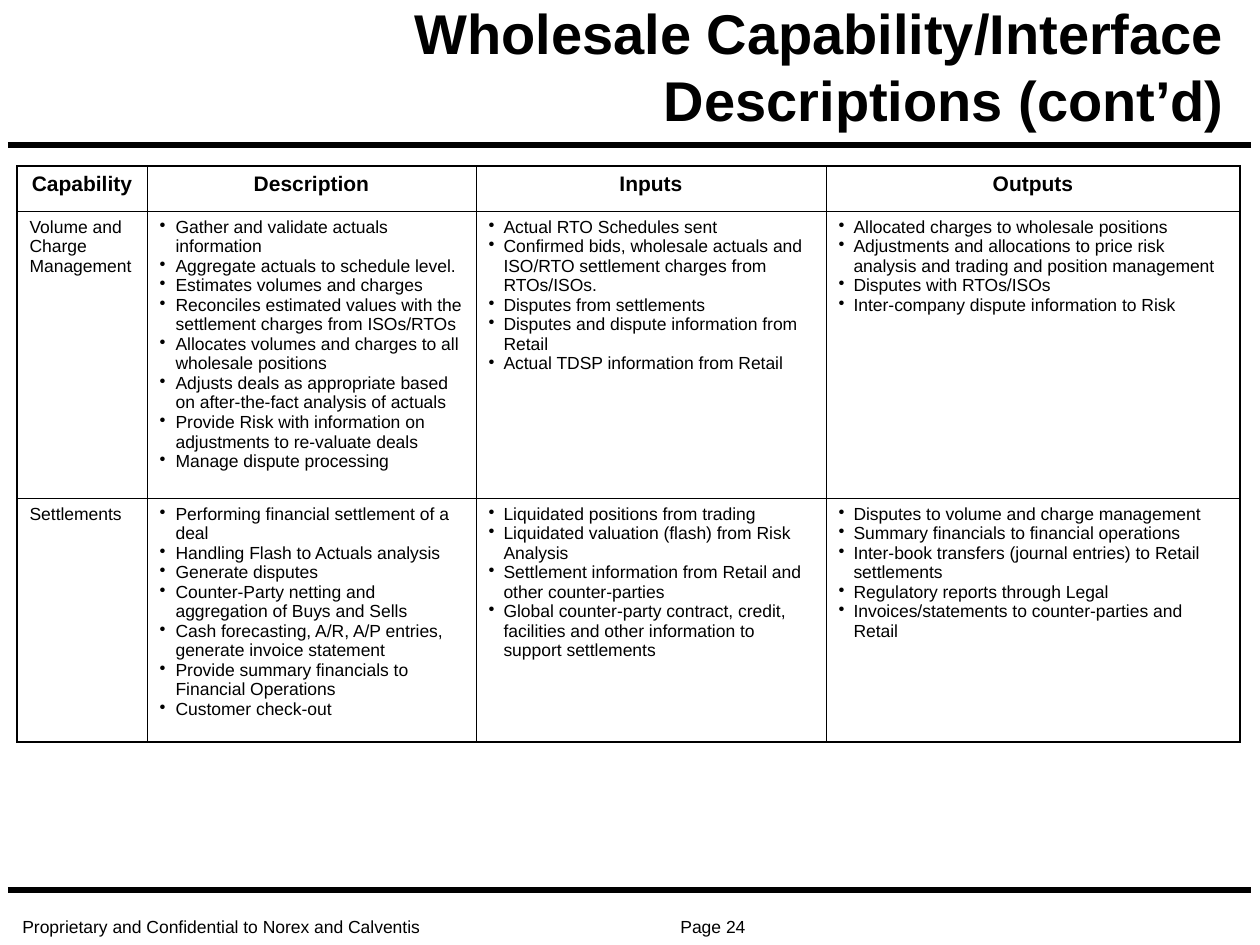
"""Build the wholesale capability and interface descriptions slide."""
import lxml.etree
import pptx
import pptx.dml.color
import pptx.enum.shapes
import pptx.enum.text
import pptx.oxml.ns
import pptx.util

BLACK = pptx.dml.color.RGBColor(0, 0, 0)
WHITE = pptx.dml.color.RGBColor(255, 255, 255)
EMU_PER_PX = 914400 / 126
ALIGN = pptx.enum.text.PP_ALIGN
BOTTOM = pptx.enum.text.MSO_ANCHOR.BOTTOM

HEADINGS = ["Capability", "Description", "Inputs", "Outputs"]
COLUMN_WIDTHS = [130, 329, 350, 414]
ROW_HEIGHTS = [45, 287, 244]
BULLET_INDENTS = [0, 16, 15, 15]
CAPABILITIES = [
    (
        ["Volume and Charge Management"],
        [
            "Gather and validate actuals information",
            "Aggregate actuals to schedule level.",
            "Estimates volumes and charges",
            "Reconciles estimated values with the settlement charges from ISOs/RTOs",
            "Allocates volumes and charges to all wholesale positions",
            "Adjusts deals as appropriate based on after-the-fact analysis of actuals",
            "Provide Risk with information on adjustments to re-valuate deals",
            "Manage dispute processing",
        ],
        [
            "Actual RTO Schedules sent",
            "Confirmed bids, wholesale actuals and ISO/RTO settlement charges from RTOs/ISOs.",
            "Disputes from settlements",
            "Disputes and dispute information from Retail",
            "Actual TDSP information from Retail",
        ],
        [
            "Allocated charges to wholesale positions",
            "Adjustments and allocations to price risk analysis and trading and position management",
            "Disputes with RTOs/ISOs",
            "Inter-company dispute information to Risk",
        ],
    ),
    (
        ["Settlements"],
        [
            "Performing financial settlement of a deal",
            "Handling Flash to Actuals analysis",
            "Generate disputes",
            "Counter-Party netting and aggregation of Buys and Sells",
            "Cash forecasting, A/R, A/P entries, generate invoice statement",
            "Provide summary financials to Financial Operations",
            "Customer check-out",
        ],
        [
            "Liquidated positions from trading",
            "Liquidated valuation (flash) from Risk Analysis",
            "Settlement information from Retail and other counter-parties",
            "Global counter-party contract, credit, facilities and other information to support settlements",
        ],
        [
            "Disputes to volume and charge management",
            "Summary financials to financial operations",
            "Inter-book transfers (journal entries) to Retail settlements",
            "Regulatory reports through Legal",
            "Invoices/statements to counter-parties and Retail",
        ],
    ),
]


def px(length):
    """Convert pixels to EMU."""
    return pptx.util.Emu(round(length * EMU_PER_PX))


def add_element(parent, tag, **attributes):
    """Append a DrawingML element to a parent."""
    element = lxml.etree.SubElement(parent, pptx.oxml.ns.qn(tag))
    for key, value in attributes.items():
        element.set(key, str(value))
    return element


def add_color(parent, color):
    """Append an RGB colour to a parent."""
    add_element(parent, "a:srgbClr", val=color)


class SlideBuilder:
    """Hold the text style and the slide being built."""

    font_name = "Arial"
    thin, thick = pptx.util.Pt(0.45), pptx.util.Pt(1.08)

    def __init__(self, slide):
        """Start on a slide."""
        self.slide = slide

    def fill_text(self, frame, lines, size, bold=False, indent=0, tab=0, **layout):
        """Set paragraphs with an optional bullet indent or right tab."""
        frame.word_wrap = True
        frame.text = "\n".join(lines)
        font_values = {"name": self.font_name, "size": pptx.util.Pt(size), "bold": bold}
        for paragraph in frame.paragraphs:
            properties = paragraph._p.get_or_add_pPr()
            if indent:
                properties.set("marL", str(px(indent)))
                properties.set("indent", str(-px(indent)))
                add_color(add_element(properties, "a:buClr"), BLACK)
                add_element(properties, "a:buChar", char="•")
            if tab:
                tabs = add_element(properties, "a:tabLst")
                add_element(tabs, "a:tab", pos=px(tab), algn="r")
            for name, value in layout.items():
                setattr(paragraph, name, value)
            for run in paragraph.runs:
                for name, value in font_values.items():
                    setattr(run.font, name, value)
                run.font.color.rgb = BLACK

    def text(self, left, top, width, height, line, **style):
        """Add a bottom-anchored text box."""
        box = self.slide.shapes.add_textbox(*map(px, (left, top, width, height)))
        box.text_frame.vertical_anchor = BOTTOM
        self.fill_text(box.text_frame, [line], **style)

    def rule(self, left, right, y):
        """Add a horizontal rule."""
        straight = pptx.enum.shapes.MSO_CONNECTOR.STRAIGHT
        rule = self.slide.shapes.add_connector(straight, *map(px, (left, y, right, y)))
        rule.line.color.rgb = BLACK
        rule.line.width = pptx.util.Pt(3)
        add_element(rule._element.spPr, "a:effectLst")

    def border(self, cell, outer_edges):
        """Draw the four cell borders, thicker on the outer edges, and fill the cell."""
        properties = cell._tc.get_or_add_tcPr()
        for side, is_outer in outer_edges.items():
            line = add_element(properties, f"a:ln{side}", w=self.thick if is_outer else self.thin)
            add_color(add_element(line, "a:solidFill"), BLACK)
        cell.fill.solid()
        cell.fill.fore_color.rgb = WHITE

    def table(self, left, top):
        """Add the capability table."""
        size = len(ROW_HEIGHTS), len(COLUMN_WIDTHS)
        extent = left, top, sum(COLUMN_WIDTHS), sum(ROW_HEIGHTS)
        table = self.slide.shapes.add_table(*size, *map(px, extent)).table
        table.first_row = table.horz_banding = False
        for column, width in zip(table.columns, COLUMN_WIDTHS):
            column.width = px(width)
        rows = [[[heading] for heading in HEADINGS], *CAPABILITIES]
        last_row, last_column = size[0] - 1, size[1] - 1
        for r, (entries, height) in enumerate(zip(rows, ROW_HEIGHTS)):
            table.rows[r].height = px(height)
            for c, lines in enumerate(entries):
                cell = table.cell(r, c)
                if r == 0:
                    self.fill_text(cell.text_frame, lines, 12, bold=True, alignment=ALIGN.CENTER)
                else:
                    self.fill_text(cell.text_frame, lines, 10, indent=BULLET_INDENTS[c])
                self.border(cell, {"L": c == 0, "R": c == last_column, "T": r == 0, "B": r == last_row})


def main():
    """Build and save the slide."""
    deck = pptx.Presentation()
    deck.slide_width, deck.slide_height = px(1260), px(945)
    builder = SlideBuilder(deck.slides.add_slide(deck.slide_layouts[6]))
    builder.text(10, 914, 766, 29, "Proprietary and Confidential to Norex and Calventis\tPage 24",
                 size=10, tab=723, line_spacing=0.8)
    for y in (145, 890):
        builder.rule(8, 1251, y)
    builder.text(354, 49, 883, 90, "Wholesale Capability/Interface Descriptions (cont’d)",
                 size=32, bold=True, alignment=ALIGN.RIGHT)
    builder.table(17, 166)
    deck.save("out.pptx")


if __name__ == "__main__":
    main()
